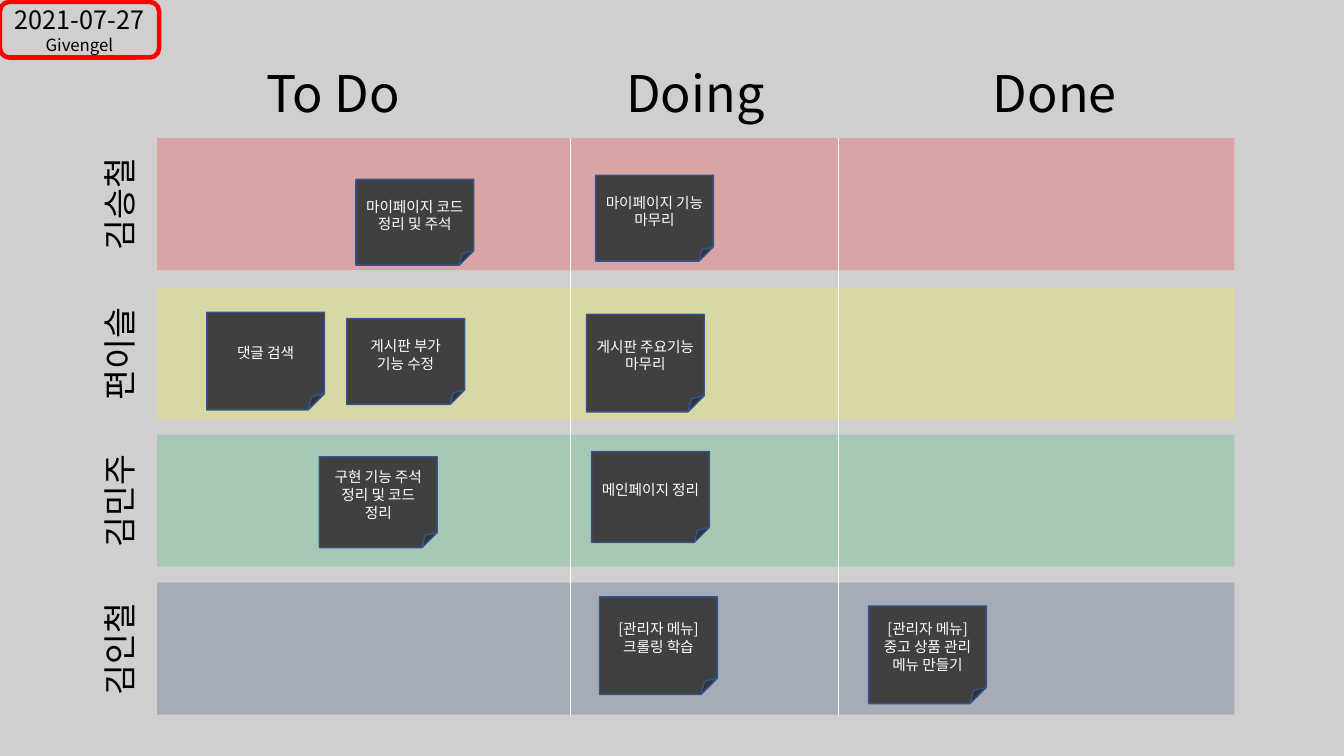
from pptx import Presentation
from pptx.util import Cm, Pt
from pptx.dml.color import RGBColor
from pptx.enum.shapes import MSO_SHAPE as SHAPE, MSO_CONNECTOR as LINE
from pptx.enum.text import PP_ALIGN as ALIGN, MSO_ANCHOR as ANCHOR, MSO_AUTO_SIZE as AUTO
from pptx.oxml.ns import qn
from lxml.etree import SubElement

COLORS = {
    "background": "D0CECE", "text": "000000", "white": "FFFFFF",
    "note": "404040", "note_line": "325491", "frame": "FF0000",
    "red": "FF0000", "yellow": "FFFF00", "green": "00B050", "navy": "002060",
}
FONT = "Noto Sans CJK KR"


class Board:
    def __init__(self, s):
        self.s = s
        fill = s.background.fill
        fill.solid()
        fill.fore_color.rgb = self.color("background")

    def color(self, name):
        return RGBColor.from_string(COLORS[name])

    def set_text(self, tf, lines, sizes, color="text"):
        tf.text = "\n".join(lines)
        for p, size in zip(tf.paragraphs, sizes):
            p.alignment = ALIGN.CENTER
            for r in p.runs:
                r.font.name, r.font.size = FONT, Pt(size)
                r.font.color.rgb = self.color(color)
                SubElement(r.font._element, qn("a:ea"), typeface=FONT)

    def shape(self, kind, box, fill=None, line=None, width=1):
        sp = self.s.shapes.add_shape(kind, *map(Cm, box))
        sp.shadow.inherit = False
        if fill:
            sp.fill.solid()
            sp.fill.fore_color.rgb = self.color(fill)
        else:
            sp.fill.background()
        if line:
            sp.line.color.rgb = self.color(line)
            sp.line.width = Pt(width)
        else:
            sp.line.fill.background()
        sp.text_frame.word_wrap = True
        sp.text_frame.vertical_anchor = ANCHOR.MIDDLE
        return sp

    def lane(self, box, color):
        sp = self.shape(SHAPE.RECTANGLE, box, color)
        rgb = sp._element.spPr.find(qn("a:solidFill"))[0]
        SubElement(rgb, qn("a:alpha"), val="20000")

    def label(self, box, text, size, rotation=0):
        sp = self.s.shapes.add_textbox(*map(Cm, box))
        sp.rotation = rotation
        tf = sp.text_frame
        tf.word_wrap = False
        tf.auto_size = AUTO.SHAPE_TO_FIT_TEXT
        self.set_text(tf, [text], [size])

    def divider(self, x, top, bottom):
        c = self.s.shapes.add_connector(LINE.STRAIGHT, Cm(x), Cm(top), Cm(x), Cm(bottom))
        c.line.color.rgb = self.color("white")
        c.line.width = Pt(0.5)
        SubElement(c._element.spPr, qn("a:effectLst"))

    def note(self, x, y, height, *lines):
        sp = self.shape(SHAPE.FOLDED_CORNER, (x, y, 2.97, height), "note", "note_line")
        self.set_text(sp.text_frame, lines, [10.5] * len(lines), "white")

    def stamp(self, box, lines, sizes):
        sp = self.shape(SHAPE.ROUNDED_RECTANGLE, box, line="frame", width=3.25)
        self.set_text(sp.text_frame, lines, sizes)


prs = Presentation()
prs.slide_width, prs.slide_height = Cm(33.87), Cm(19.05)
board = Board(prs.slides.add_slide(prs.slide_layouts[6]))

# One lane per person
LANE_LEFT, LANE_WIDTH, LANE_HEIGHT = 3.96, 27.15, 3.33
NAME_WIDTH, NAME_HEIGHT = 2.84, 1.27
lanes = [("김승철", 3.48, "red"), ("편이슬", 7.26, "yellow"),
         ("김민주", 10.95, "green"), ("김인철", 14.68, "navy")]
for name, top, color in lanes:
    board.lane((LANE_LEFT, top, LANE_WIDTH, LANE_HEIGHT), color)
    name_top = top + (LANE_HEIGHT - NAME_HEIGHT) / 2
    board.label((1.58, name_top, NAME_WIDTH, NAME_HEIGHT), name, 24, 270)

# Column headings and dividers
for text, left, width in [("To Do", 6.45, 3.89), ("Doing", 15.52, 4.01), ("Done", 24.77, 3.63)]:
    board.label((left, 1.45, width, 1.8), text, 36)
for x in (14.38, 21.13):
    board.divider(x, lanes[0][1], lanes[-1][1] + LANE_HEIGHT)

# Date and team
board.stamp((0, 0.05, 4.01, 1.4), ["2021-07-27", "Givengel"], [18, 12])

# Task notes: left, top, height, lines
for note in [
    (8.97, 4.52, 2.16, "마이페이지 코드 정리 및 주석"),
    (15.01, 4.42, 2.16, "마이페이지 기능 마무리"),
    (5.21, 7.87, 2.46, "댓글 검색"),
    (8.74, 8.03, 2.16, "게시판 부가 기능 수정"),
    (14.78, 7.92, 2.46, "게시판 주요기능 마무리"),
    (8.05, 11.51, 2.29, "구현 기능 주석 정리 및 코드 정리"),
    (14.91, 11.38, 2.29, "메인페이지 정리"),
    (15.11, 15.04, 2.46, "[관리자 메뉴]", "크롤링 학습"),
    (21.89, 15.27, 2.46, "[관리자 메뉴]", "중고 상품 관리 메뉴 만들기"),
]:
    board.note(*note)

prs.save("out.pptx")
